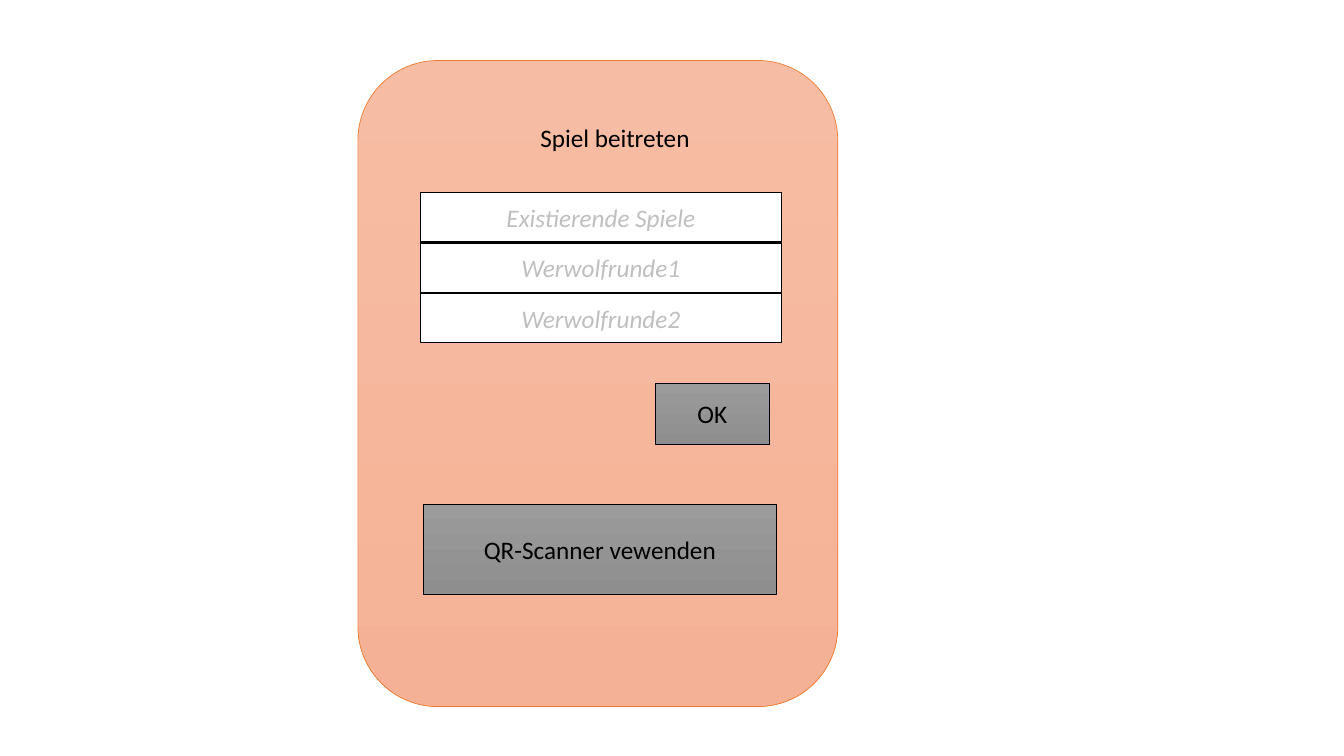
"""Build the mock-up screen for joining a game."""
import pptx
import pptx.util
import pptx.dml.color
import pptx.enum.shapes
import pptx.enum.text

Inches = pptx.util.Inches
Kind = pptx.enum.shapes.MSO_SHAPE


class Theme:
    font = "Calibri"
    size = 18
    ink = "000000"
    hint = "BFBFBF"
    white = "FFFFFF"
    edge = "ED7D31"
    peach = ("F7BDA4", "F5B195")
    grey = ("9B9B9B", "8E8E8E")


def write(shape, text, color=Theme.ink, italic=False, anchor="MIDDLE"):
    frame = shape.text_frame
    frame.word_wrap = True
    frame.vertical_anchor = pptx.enum.text.MSO_ANCHOR[anchor]
    line = frame.paragraphs[0]
    line.alignment = pptx.enum.text.PP_ALIGN.CENTER
    run = line.add_run()
    run.text = text
    run.font.name = Theme.font
    run.font.size = pptx.util.Pt(Theme.size)
    run.font.italic = italic
    run.font.color.rgb = pptx.dml.color.RGBColor.from_string(color)


def draw(kind, box, fill, edge=Theme.ink, width=0.5):
    shape = slide.shapes.add_shape(kind, *map(Inches, box))
    shape.shadow.inherit = False
    if isinstance(fill, tuple):
        shape.fill.gradient()
        shape.fill.gradient_angle = 270
        for stop, color in zip(shape.fill.gradient_stops, fill):
            stop.color.rgb = pptx.dml.color.RGBColor.from_string(color)
    else:
        shape.fill.solid()
        shape.fill.fore_color.rgb = pptx.dml.color.RGBColor.from_string(fill)
    shape.line.color.rgb = pptx.dml.color.RGBColor.from_string(edge)
    shape.line.width = pptx.util.Pt(width)
    return shape


deck = pptx.Presentation()
deck.slide_width = Inches(13.33)
deck.slide_height = Inches(7.5)
slide = deck.slides.add_slide(deck.slide_layouts[6])

draw(Kind.ROUNDED_RECTANGLE, (3.55, 0.6, 4.76, 6.41), Theme.peach, Theme.edge)

title = slide.shapes.add_textbox(*map(Inches, (4.8, 1.16, 2.6, 0.4)))
write(title, "Spiel beitreten", anchor="TOP")

games = ["Existierende Spiele", "Werwolfrunde1", "Werwolfrunde2"]
for row, game in enumerate(games):
    field = draw(Kind.RECTANGLE, (4.17, 1.91 + row * 0.5, 3.58, 0.49),
                 Theme.white, width=1)
    write(field, game, color=Theme.hint, italic=True)

buttons = [("OK", (6.5, 3.8, 1.13, 0.61)),
           ("QR-Scanner vewenden", (4.2, 5, 3.5, 0.9))]
for label, box in buttons:
    write(draw(Kind.RECTANGLE, box, Theme.grey), label)

deck.save("out.pptx")
